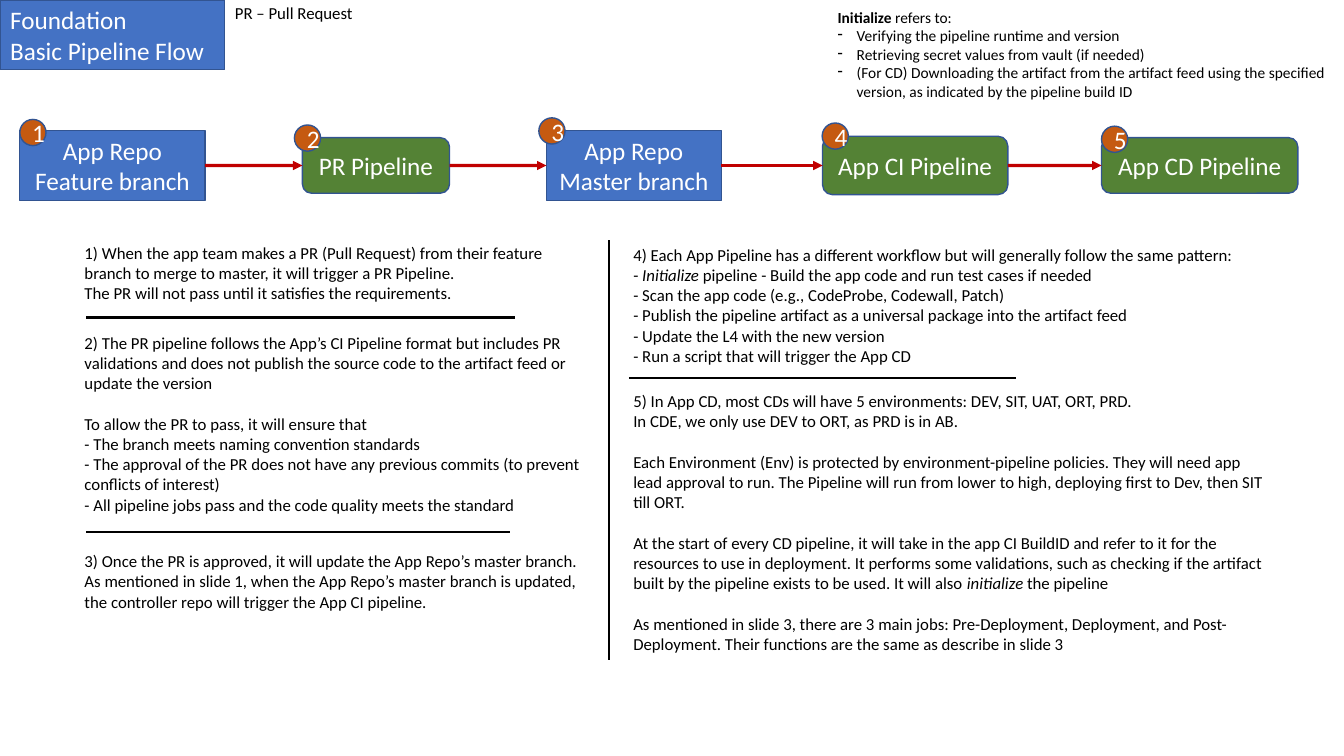
"""Build the Foundation Basic Pipeline Flow slide."""
from itertools import pairwise
from lxml.etree import SubElement
from pptx import Presentation
from pptx.dml.color import RGBColor
from pptx.enum.shapes import MSO_CONNECTOR, MSO_SHAPE
from pptx.enum.text import MSO_ANCHOR, MSO_AUTO_SIZE, PP_ALIGN
from pptx.oxml.ns import qn
from pptx.util import Cm, Pt

BLUE = RGBColor(0x44, 0x72, 0xC4)
GREEN = RGBColor(0x54, 0x82, 0x35)
ORANGE = RGBColor(0xC5, 0x5A, 0x11)
OUTLINE = RGBColor(0x32, 0x54, 0x91)
RED = RGBColor(0xC0, 0x00, 0x00)
BLACK = RGBColor(0, 0, 0)
WHITE = RGBColor(0xFF, 0xFF, 0xFF)

FLOW_Y = 4.17
BADGE = 0.66


def write(sp, text, size=12, color=BLACK, align=PP_ALIGN.LEFT, anchor=MSO_ANCHOR.TOP,
          fit=MSO_AUTO_SIZE.NONE, emphasis="italic", bullets=False, fill=None):
    """Write lines, with *emphasis* and a gap at each blank line."""
    if fill is not None:
        sp.fill.solid()
        sp.fill.fore_color.rgb = fill
        sp.line.color.rgb = OUTLINE
        sp.line.width = Pt(1)
    tf = sp.text_frame
    tf.word_wrap = True
    tf.auto_size = fit
    tf.vertical_anchor = anchor
    p = tf.paragraphs[0]
    for i, block in enumerate(text.split("\n\n")):
        for j, line in enumerate(block.split("\n")):
            if i or j:
                p = tf.add_paragraph()
            p.alignment = align
            if i and not j:
                p.space_before = Pt(size * 1.22)
            if bullets and line.startswith("- "):
                line = line[2:]
                pPr = p._p.get_or_add_pPr()
                pPr.set("marL", str(Cm(0.48)))
                pPr.set("indent", str(-Cm(0.48)))
                SubElement(pPr, qn("a:buChar")).set("char", "-")
            for k, part in enumerate(line.split("*")):
                if part:
                    r = p.add_run()
                    r.text = part
                    r.font.name = "Calibri"
                    r.font.size = Pt(size)
                    r.font.color.rgb = color
                    if k % 2:
                        setattr(r.font, emphasis, True)


def draw_line(x1, y1, x2, y2, color=BLACK, width=1.5):
    """Draw a straight line without shadow."""
    ln = s.shapes.add_connector(MSO_CONNECTOR.STRAIGHT, Cm(x1), Cm(y1), Cm(x2), Cm(y2))
    ln.line.color.rgb = color
    ln.line.width = Pt(width)
    SubElement(ln._element.spPr, qn("a:effectLst"))
    return ln


prs = Presentation()
prs.slide_width, prs.slide_height = Cm(33.87), Cm(19.05)
s = prs.slides.add_slide(prs.slide_layouts[5])

title = s.shapes.title
title.left, title.top, title.width, title.height = Cm(0), Cm(0), Cm(5.66), Cm(1.76)
write(title, "Foundation\nBasic Pipeline Flow", size=18, color=WHITE,
      anchor=MSO_ANCHOR.MIDDLE, fill=BLUE)

label = dict(size=18, color=WHITE, align=PP_ALIGN.CENTER, anchor=MSO_ANCHOR.MIDDLE)
repo, pipeline = (MSO_SHAPE.RECTANGLE, BLUE), (MSO_SHAPE.ROUNDED_RECTANGLE, GREEN)
steps = [
    ("App Repo Feature branch", repo, 0.5, 4.67, 1.76, 0.5, 3.01),
    ("PR Pipeline", pipeline, 7.62, 3.71, 1.4, 7.42, 3.15),
    ("App Repo Master branch", repo, 13.77, 4.41, 1.76, 13.58, 2.97),
    ("App CI Pipeline", pipeline, 20.73, 4.67, 1.47, 20.72, 3.1),
    ("App CD Pipeline", pipeline, 27.76, 4.95, 1.4, 27.76, 3.18),
]
boxes = []
for text, (shape, fill), x, w, h, *_ in steps:
    sp = s.shapes.add_shape(shape, Cm(x), Cm(FLOW_Y - h / 2), Cm(w), Cm(h))
    sp.shadow.inherit = False
    write(sp, text, fill=fill, **label)
    boxes.append(sp)

for start, end in pairwise(boxes):
    arrow = draw_line(0, 0, 1, 0, RED, 2.25)
    arrow.begin_connect(start, 3)
    arrow.end_connect(end, 1)
    SubElement(arrow._element.spPr.find(qn("a:ln")), qn("a:tailEnd")).set("type", "triangle")

for n, (*_, x, y) in enumerate(steps, 1):
    sp = s.shapes.add_shape(MSO_SHAPE.OVAL, Cm(x), Cm(y), Cm(BADGE), Cm(BADGE))
    sp.shadow.inherit = False
    write(sp, str(n), fill=ORANGE, **label)

notes = [
    (1.88, 5.99, 13, 1.8,
     "1) When the app team makes a PR (Pull Request) from their feature branch to merge to "
     "master, it will trigger a PR Pipeline.\n"
     "The PR will not pass until it satisfies the requirements."),
    (1.88, 8.26, 13, 4.88,
     "2) The PR pipeline follows the App’s CI Pipeline format but includes PR validations and "
     "does not publish the source code to the artifact feed or update the version\n\n"
     "To allow the PR to pass, it will ensure that\n"
     "- The branch meets naming convention standards\n"
     "- The approval of the PR does not have any previous commits (to prevent conflicts of "
     "interest)\n"
     "- All pipeline jobs pass and the code quality meets the standard"),
    (1.88, 13.76, 13, 1.8,
     "3) Once the PR is approved, it will update the App Repo’s master branch.\n"
     "As mentioned in slide 1, when the App Repo’s master branch is updated, the controller "
     "repo will trigger the App CI pipeline."),
    (15.71, 6.04, 16.41, 3.33,
     "4) Each App Pipeline has a different workflow but will generally follow the same pattern:\n"
     "- *Initialize* pipeline - Build the app code and run test cases if needed\n"
     "- Scan the app code (e.g., CodeProbe, Codewall, Patch)\n"
     "- Publish the pipeline artifact as a universal package into the artifact feed\n"
     "- Update the L4 with the new version\n"
     "- Run a script that will trigger the App CD"),
    (15.71, 9.72, 16.41, 6.93,
     "5) In App CD, most CDs will have 5 environments: DEV, SIT, UAT, ORT, PRD.\n"
     "In CDE, we only use DEV to ORT, as PRD is in AB.\n\n"
     "Each Environment (Env) is protected by environment-pipeline policies. They will need app "
     "lead approval to run. The Pipeline will run from lower to high, deploying first to Dev, "
     "then SIT till ORT.\n\n"
     "At the start of every CD pipeline, it will take in the app CI BuildID and refer to it for "
     "the resources to use in deployment. It performs some validations, such as checking if the "
     "artifact built by the pipeline exists to be used. It will also *initialize* the pipeline\n\n"
     "As mentioned in slide 3, there are 3 main jobs: Pre-Deployment, Deployment, and "
     "Post-Deployment. Their functions are the same as describe in slide 3"),
    (5.67, -0.06, 5.94, 0.77, "PR – Pull Request"),
]
for x, y, w, h, text in notes:
    write(s.shapes.add_textbox(Cm(x), Cm(y), Cm(w), Cm(h)), text,
          fit=MSO_AUTO_SIZE.SHAPE_TO_FIT_TEXT)

write(s.shapes.add_textbox(Cm(20.86), Cm(0.08), Cm(13), Cm(2.62)),
      "*Initialize* refers to:\n"
      "- Verifying the pipeline runtime and version\n"
      "- Retrieving secret values from vault (if needed)\n"
      "- (For CD) Downloading the artifact from the artifact feed using the specified version, "
      "as indicated by the pipeline build ID",
      size=11, emphasis="bold", bullets=True, fit=MSO_AUTO_SIZE.SHAPE_TO_FIT_TEXT)

dividers = [(2.17, 8, 12.98, 8), (2.17, 13.41, 12.85, 13.41),
            (15.34, 6.05, 15.34, 16.64), (15.85, 9.53, 25.6, 9.53)]
for ends in dividers:
    draw_line(*ends)

prs.save("out.pptx")
